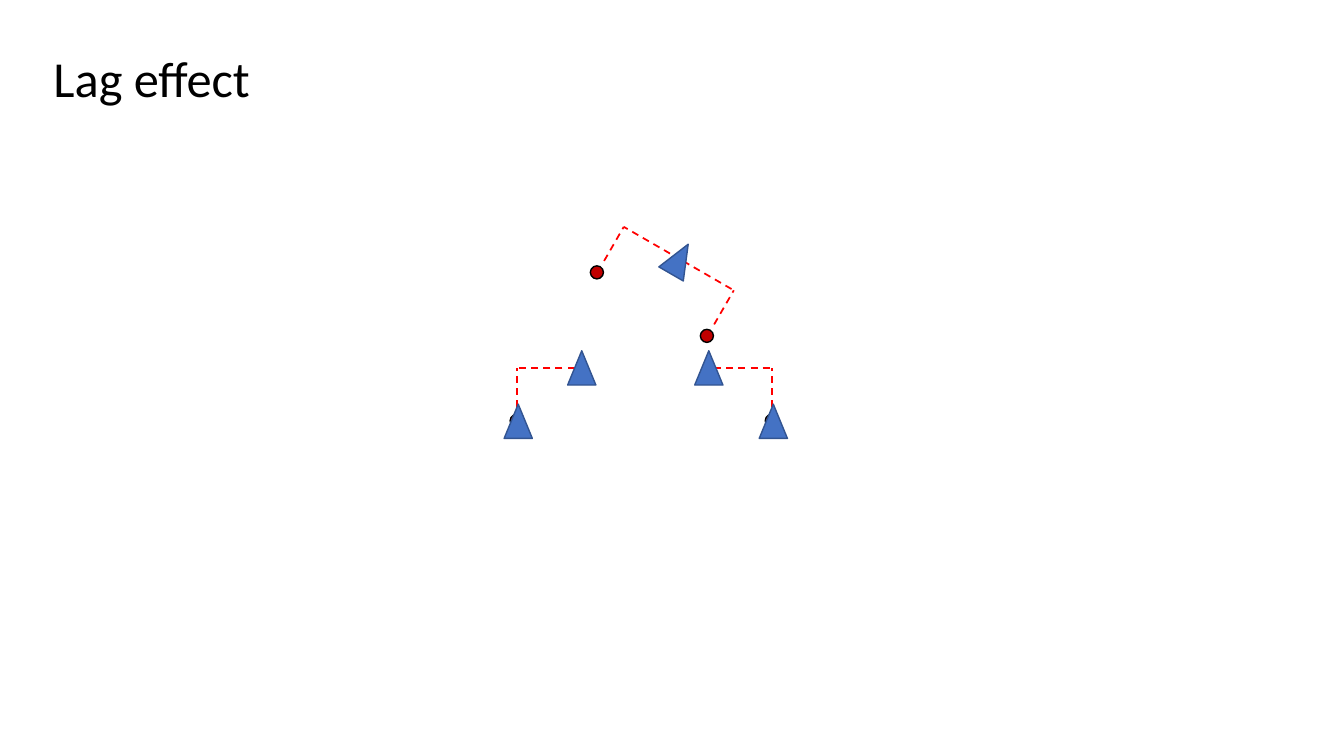
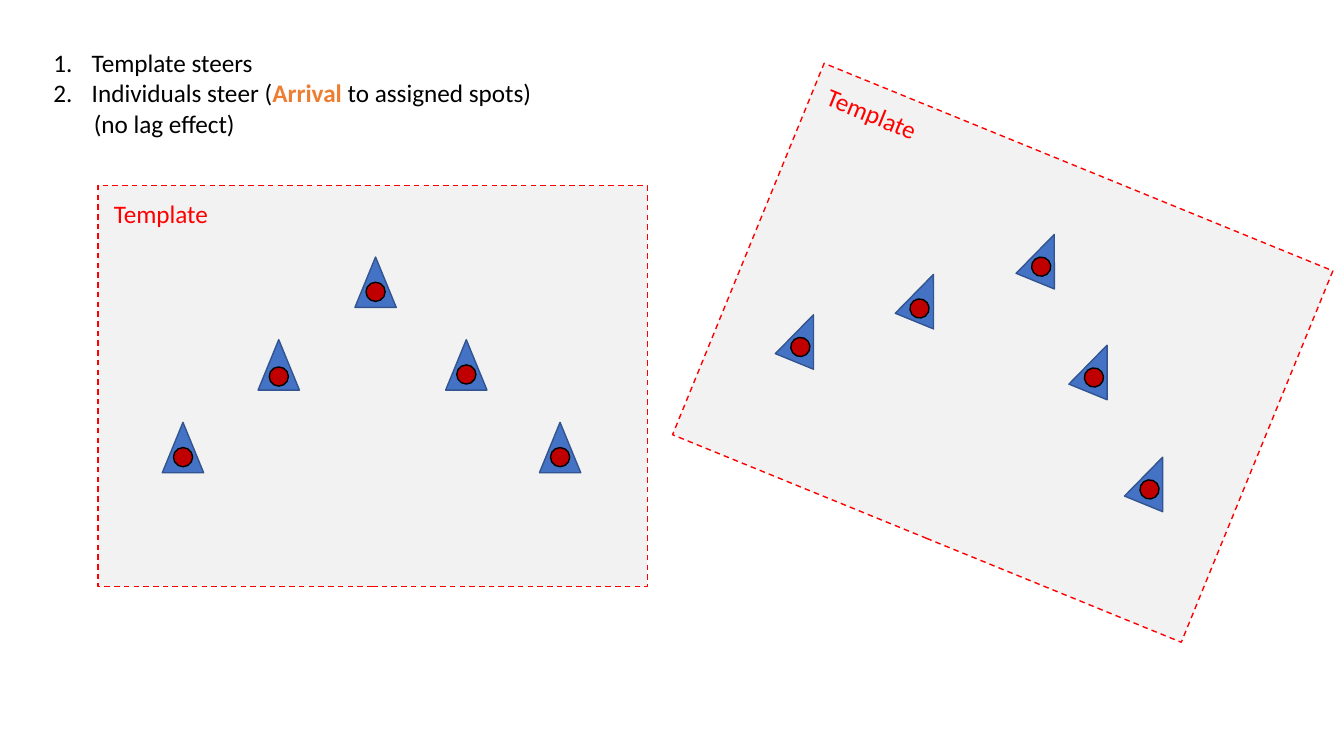
import math
from dataclasses import dataclass
from typing import Any

from lxml import etree
from pptx import Presentation
from pptx import util as u
from pptx.dml.color import RGBColor
from pptx.enum import dml, shapes, text
from pptx.oxml import ns

PX = 9144  # 100 px to the inch
COLORS = {
    "agent": "4472C4", "agent_edge": "325491", "spot": "C00000",
    "board": "F2F2F2", "guide": "FF0000", "ink": "000000", "accent": "ED7D31",
}
FONT = "Calibri"
FRAME_FORMAT = {
    "word_wrap": False,
    "auto_size": text.MSO_AUTO_SIZE.SHAPE_TO_FIT_TEXT,
    "vertical_anchor": text.MSO_ANCHOR.TOP,
    "margin_left": 10 * PX, "margin_right": 10 * PX,
    "margin_top": 5 * PX, "margin_bottom": 5 * PX,
}
PARAGRAPH_FORMAT = {
    "alignment": text.PP_ALIGN.LEFT, "line_spacing": 1.0,
    "space_before": u.Pt(0), "space_after": u.Pt(0),
}


def px(length):
    return round(length * PX)


def rgb(name):
    return RGBColor.from_string(COLORS[name])


def apply(target, values):
    for name, value in values.items():
        setattr(target, name, value)


def draw_line(line, color, width, dashed=False):
    line.color.rgb = rgb(color)
    line.width = u.Pt(width)
    if dashed:
        line.dash_style = dml.MSO_LINE.DASH


def set_bounds(shape, left, top, width, height):
    bounds = {"left": left, "top": top, "width": width, "height": height}
    apply(shape, {name: px(value) for name, value in bounds.items()})


def add_run(paragraph, words, size, color="ink", bold=False):
    run = paragraph.add_run()
    run.text = words
    apply(run.font, {"name": FONT, "size": u.Pt(size), "bold": bold})
    run.font.color.rgb = rgb(color)


def set_bullet(paragraph, tag, indent, hanging, **attributes):
    properties = paragraph._p.get_or_add_pPr()
    properties.set("marL", str(px(indent)))
    properties.set("indent", str(px(-hanging)))
    etree.SubElement(properties, ns.qn(tag), attributes)


@dataclass
class Formation:
    """A turned box; parts are placed from its unturned top left corner."""
    slide: Any
    left: int
    top: int
    width: int
    height: int
    angle: float = 0

    def point(self, x, y):
        turn = math.radians(self.angle)
        dx, dy = x - self.width / 2, y - self.height / 2
        return (self.left + self.width / 2 + dx * math.cos(turn) - dy * math.sin(turn),
                self.top + self.height / 2 + dx * math.sin(turn) + dy * math.cos(turn))

    def box(self, x, y, width, height):
        center_x, center_y = self.point(x + width / 2, y + height / 2)
        return [px(n) for n in (center_x - width / 2, center_y - height / 2, width, height)]

    def shape(self, kind, bounds, fill, edge, dashed=False):
        part = self.slide.shapes.add_shape(kind, *self.box(*bounds))
        part.rotation = self.angle
        part.shadow.inherit = False
        part.fill.solid()
        part.fill.fore_color.rgb = rgb(fill)
        draw_line(part.line, edge, 1, dashed)

    def board(self):
        self.shape(shapes.MSO_SHAPE.RECTANGLE, (0, 0, self.width, self.height),
                   "board", "guide", dashed=True)

    def agent(self, x, y, width, height):
        self.shape(shapes.MSO_SHAPE.ISOSCELES_TRIANGLE, (x, y, width, height),
                   "agent", "agent_edge")

    def spot(self, x, y, size):
        self.shape(shapes.MSO_SHAPE.OVAL, (x, y, size, size), "spot", "ink")

    def guide(self, start, end):
        ends = [px(n) for n in self.point(*start) + self.point(*end)]
        guide = self.slide.shapes.add_connector(shapes.MSO_CONNECTOR.STRAIGHT, *ends)
        draw_line(guide.line, "guide", 1.25, dashed=True)
        etree.SubElement(guide._element.spPr, ns.qn("a:effectLst"))

    def arm(self, inner, elbow):
        """Dashed elbow from a leader out and down to an assigned spot."""
        self.guide((inner, 0), (elbow, 0))
        self.guide((elbow, 39), (elbow, 0))
        self.spot(elbow - 7, 46, 13)

    def label(self, words, *bounds):
        label = self.slide.shapes.add_textbox(*self.box(*bounds))
        label.rotation = self.angle
        apply(label.text_frame, FRAME_FORMAT)
        paragraph = label.text_frame.paragraphs[0]
        apply(paragraph, PARAGRAPH_FORMAT)
        add_run(paragraph, words, 18, "guide")


def add_lag_slide(deck):
    slide = deck.slides.add_slide(deck.slide_layouts[5])
    title = slide.shapes.title
    set_bounds(title, 43, 42, 218, 71)
    apply(title.text_frame, FRAME_FORMAT)
    heading = title.text_frame.paragraphs[0]
    apply(heading, PARAGRAPH_FORMAT)
    add_run(heading, "Lag effect", 36)

    turned = Formation(slide, 597, 253, 126, 53, 30)
    upright = Formation(slide, 513, 365, 253, 53)
    rows = (
        (turned, ((53, 0), (68, 126)), (50,)),
        (upright, ((57, 0), (195, 253)), (50, 176)),
    )
    for formation, arms, leaders in rows:
        for inner, elbow in arms:
            formation.arm(inner, elbow)
        for x in leaders:
            formation.agent(x, -17, 28, 34)
    for x in (0, upright.width):
        upright.agent(x - 13, 36, 28, 34)


def add_template_board(slide, left, top, angle=0):
    board = Formation(slide, left, top, 545, 398, angle)
    board.board()
    board.label("Template", 6, 8, 115, 40)
    for x, y, spot_drop in ((255, 71, 25), (159, 153, 27), (345, 153, 25),
                            (64, 235, 25), (438, 235, 25)):
        board.agent(x, y, 41, 50)
        board.spot(x + 11, y + spot_drop, 19)


def add_template_slide(deck):
    slide = deck.slides.add_slide(deck.slide_layouts[1])
    unused_title = slide.shapes.title._element
    unused_title.getparent().remove(unused_title)
    add_template_board(slide, 97, 184)
    add_template_board(slide, 722, 151, 22.2)

    steps = slide.placeholders[1]
    set_bounds(steps, 43, 42, 499, 101)
    frame = steps.text_frame
    apply(frame, FRAME_FORMAT)
    lines = (
        (True, [("Template steers",)]),
        (True, [("Individuals steer (",), ("Arrival", "accent", True),
                (" to assigned spots)",)]),
        (False, [("(no lag effect)",)]),
    )
    for index, (numbered, runs) in enumerate(lines):
        paragraph = frame.add_paragraph() if index else frame.paragraphs[0]
        apply(paragraph, PARAGRAPH_FORMAT)
        if numbered:
            set_bullet(paragraph, "a:buAutoNum", 38, 38, type="arabicPeriod")
        else:
            set_bullet(paragraph, "a:buNone", 40, 0)
        for words, *look in runs:
            add_run(paragraph, words, 18, *look)


def main():
    deck = Presentation()
    apply(deck, {"slide_width": px(1333), "slide_height": px(750)})
    add_lag_slide(deck)
    add_template_slide(deck)
    deck.save("out.pptx")


if __name__ == "__main__":
    main()
